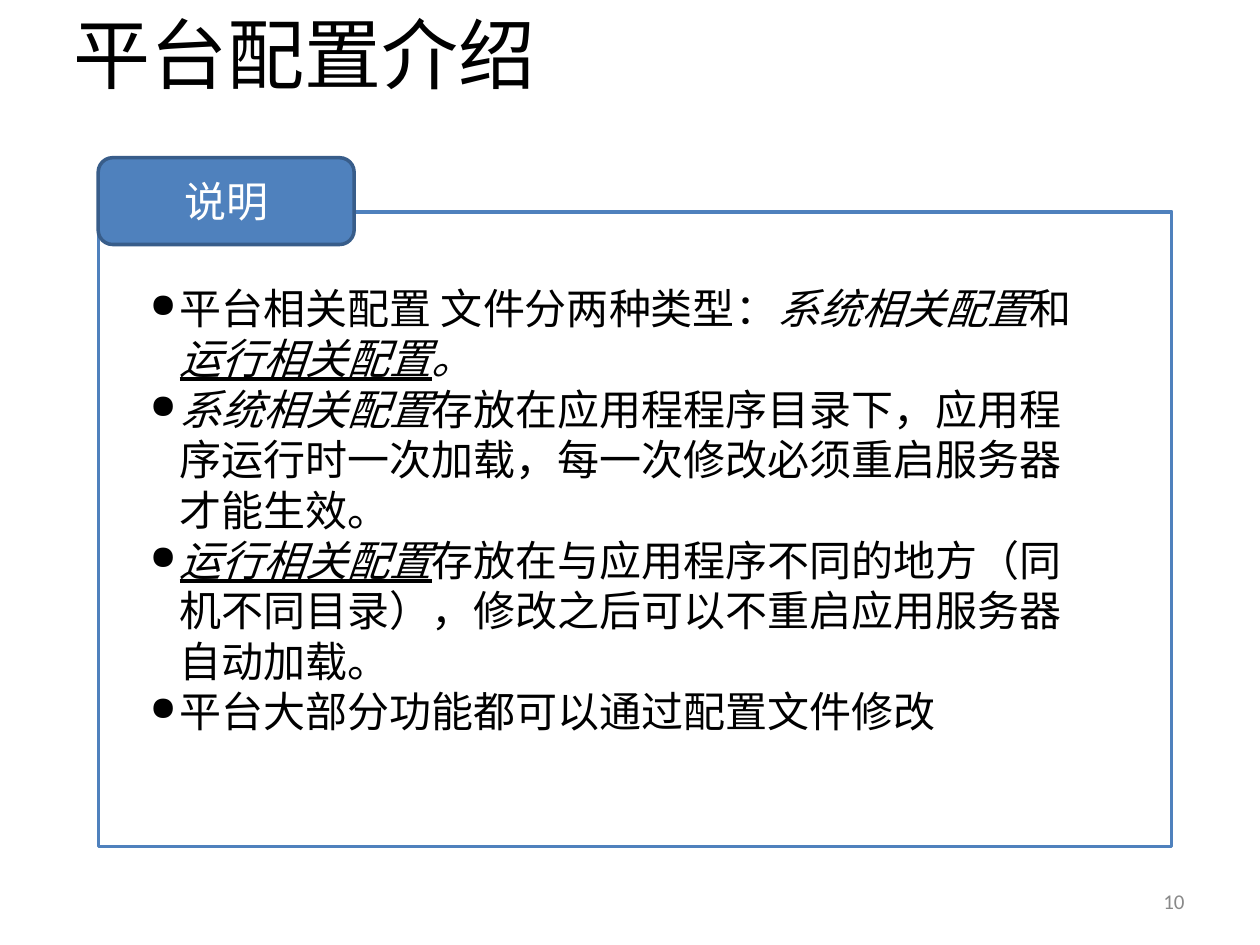
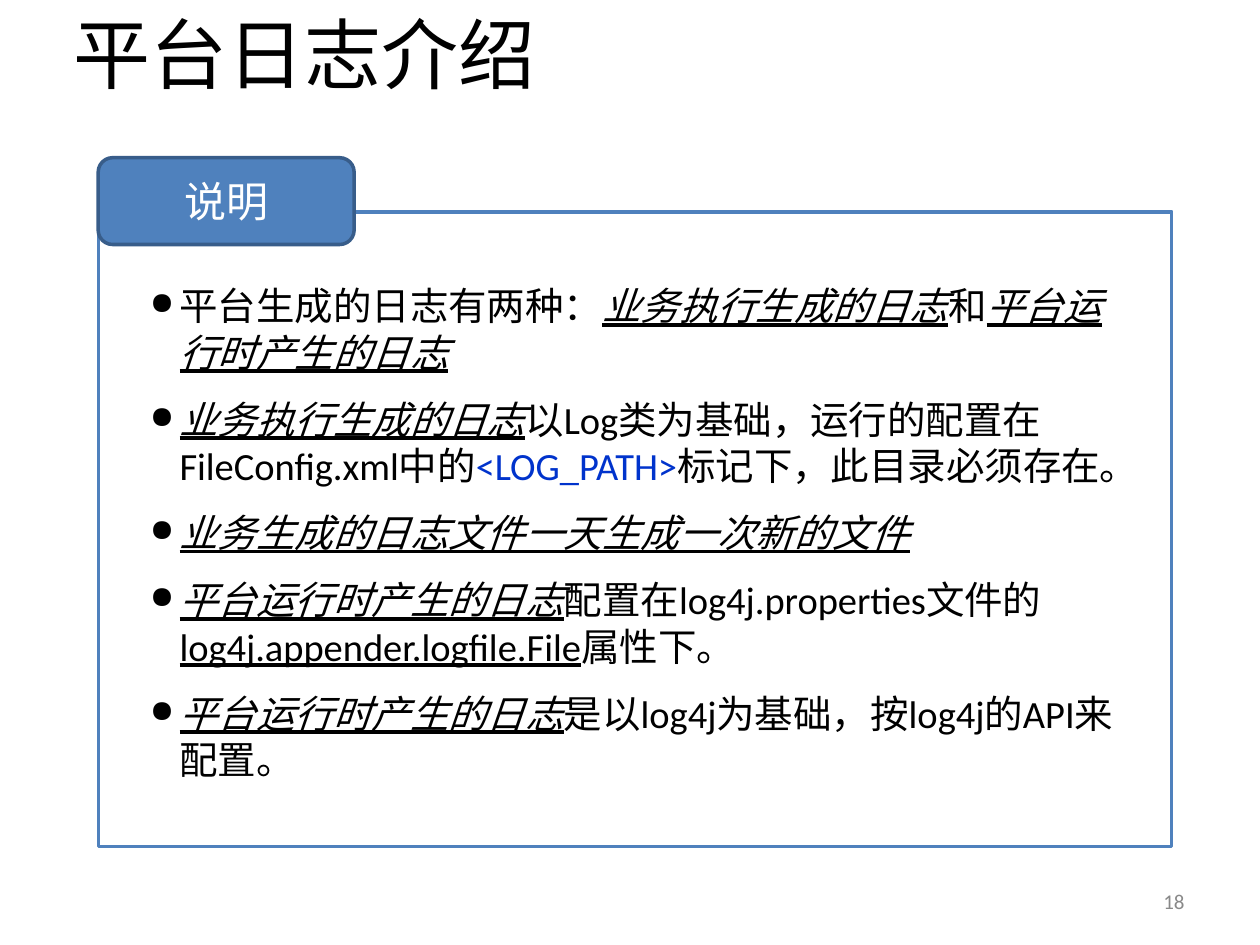
"""Build two explanation slides on platform configuration and platform logs."""
from lxml import etree
from pptx import Presentation, util as u
from pptx.dml.color import RGBColor
from pptx.enum import shapes, text
from pptx.oxml.ns import qn

BLACK, WHITE, GREY = "000000", "FFFFFF", "898989"
BLUE, DARK_BLUE, TAG_BLUE = "4F81BD", "385D8A", "0033CC"
BODY_FONT, TITLE_FONT = "Calibri", "Noto Sans CJK SC"

PLAIN = {}
ITALIC = {"italic": True}
LINED = {"underline": True}
TERM = {"italic": True, "underline": True}
TAG = {"color": TAG_BLUE}

SLIDES = [
    {
        "title": "平台配置介绍", "number": "10",
        "size": 24, "gap": 0, "body": (19.63, 9.4),
        "points": [
            [("平台相关配置 文件分两种类型：", PLAIN), ("系统相关配置", ITALIC), ("和", PLAIN),
             ("运行相关配置", TERM), ("。", ITALIC)],
            [("系统相关配置", ITALIC),
             ("存放在应用程程序目录下，应用程序运行时一次加载，每一次修改必须重启服务器才能生效。", PLAIN)],
            [("运行相关配置", TERM),
             ("存放在与应用程序不同的地方（同机不同目录），修改之后可以不重启应用服务器自动加载。", PLAIN)],
            [("平台大部分功能都可以通过配置文件修改", PLAIN)],
        ],
    },
    {
        "title": "平台日志介绍", "number": "18",
        "size": 22, "gap": 12, "body": (20.45, 10.34),
        "points": [
            [("平台生成的日志有两种：", PLAIN), ("业务执行生成的日志", TERM), ("和", PLAIN),
             ("平台运行时产生的日志", TERM)],
            [("业务执行生成的日志", TERM), ("以Log类为基础，运行的配置在FileConfig.xml中的", PLAIN),
             ("<LOG_PATH>", TAG), ("标记下，此目录必须存在。", PLAIN)],
            [("业务生成的日志文件一天生成一次新的文件", TERM)],
            [("平台运行时产生的日志", TERM), ("配置在log4j.properties文件的", PLAIN),
             ("log4j.appender.logfile.File", LINED), ("属性下。", PLAIN)],
            [("平台运行时产生的日志", TERM), ("是以log4j为基础，按log4j的API来配置。", PLAIN)],
        ],
    },
]

TITLE_AREA = (0.79, 0, 10.72, 2.34)
PANEL_AREA = (1.99, 4.27, 21.63, 12.8)
LABEL_AREA = (1.98, 3.18, 5.16, 1.75)
NUMBER_AREA = (18.21, 17.65, 5.92, 1.02)
BODY_CORNER = (2.77, 5.57)
BULLET_INDENT = 0.6
BULLET_PERCENT = 80


def rgb(color):
    return RGBColor.from_string(color)


def place(area):
    return [u.Cm(length) for length in area]


def add_span(para, words, size=24, color=BLACK, font=BODY_FONT, italic=False, underline=False):
    span = para.add_run()
    span.text = words
    style = span.font
    style.size, style.name = u.Pt(size), font
    style.italic, style.underline = italic, underline
    style.color.rgb = rgb(color)
    east_asian = etree.Element(qn("a:ea"), typeface=BODY_FONT)
    span._r.get_or_add_rPr().find(qn("a:latin")).addnext(east_asian)


def add_bullet(para):
    properties = para._p.get_or_add_pPr()
    indent = u.Cm(BULLET_INDENT)
    properties.set("marL", str(indent))
    properties.set("indent", str(-indent))
    properties.set("hangingPunct", "0")
    color = etree.SubElement(properties, qn("a:buClr"))
    etree.SubElement(color, qn("a:srgbClr"), val=BLACK)
    etree.SubElement(properties, qn("a:buSzPct"), val=str(BULLET_PERCENT * 1000))
    etree.SubElement(properties, qn("a:buChar"), char="●")


def write(box, paragraphs, align=text.PP_ALIGN.LEFT, anchor=text.MSO_ANCHOR.TOP,
          bullets=False, gap=0, **style):
    frame = box.text_frame
    frame.word_wrap = True
    frame.vertical_anchor = anchor
    for index, spans in enumerate(paragraphs):
        para = frame.add_paragraph() if index else frame.paragraphs[0]
        para.alignment = align
        para.space_after = u.Pt(gap)
        if bullets:
            add_bullet(para)
        for words, look in spans:
            add_span(para, words, **{**style, **look})


def add_panel_part(group, kind, area, fill, line):
    part = group.shapes.add_shape(kind, *place(area))
    part.shadow.inherit = False
    part.fill.solid()
    part.fill.fore_color.rgb = rgb(fill)
    part.line.color.rgb = rgb(line)
    part.line.width = u.Pt(2)
    return part


def add_page(deck, content):
    page = deck.slides.add_slide(deck.slide_layouts[6])
    group = page.shapes.add_group_shape()
    add_panel_part(group, shapes.MSO_SHAPE.RECTANGLE, PANEL_AREA, WHITE, BLUE)
    label = add_panel_part(group, shapes.MSO_SHAPE.ROUNDED_RECTANGLE, LABEL_AREA, BLUE, DARK_BLUE)
    write(label, [[("说明", PLAIN)]], align=text.PP_ALIGN.CENTER,
          anchor=text.MSO_ANCHOR.MIDDLE, color=WHITE)

    title = page.shapes.add_textbox(*place(TITLE_AREA))
    write(title, [[(content["title"], PLAIN)]], align=text.PP_ALIGN.CENTER,
          size=44, font=TITLE_FONT)
    body = page.shapes.add_textbox(*place(BODY_CORNER + content["body"]))
    write(body, content["points"], bullets=True, gap=content["gap"], size=content["size"])
    number = page.shapes.add_textbox(*place(NUMBER_AREA))
    write(number, [[(content["number"], PLAIN)]], align=text.PP_ALIGN.RIGHT,
          anchor=text.MSO_ANCHOR.MIDDLE, size=12, color=GREY)


def main():
    deck = Presentation()
    deck.slide_width, deck.slide_height = u.Cm(25.4), u.Cm(19.05)
    for content in SLIDES:
        add_page(deck, content)
    deck.save("out.pptx")


if __name__ == "__main__":
    main()
